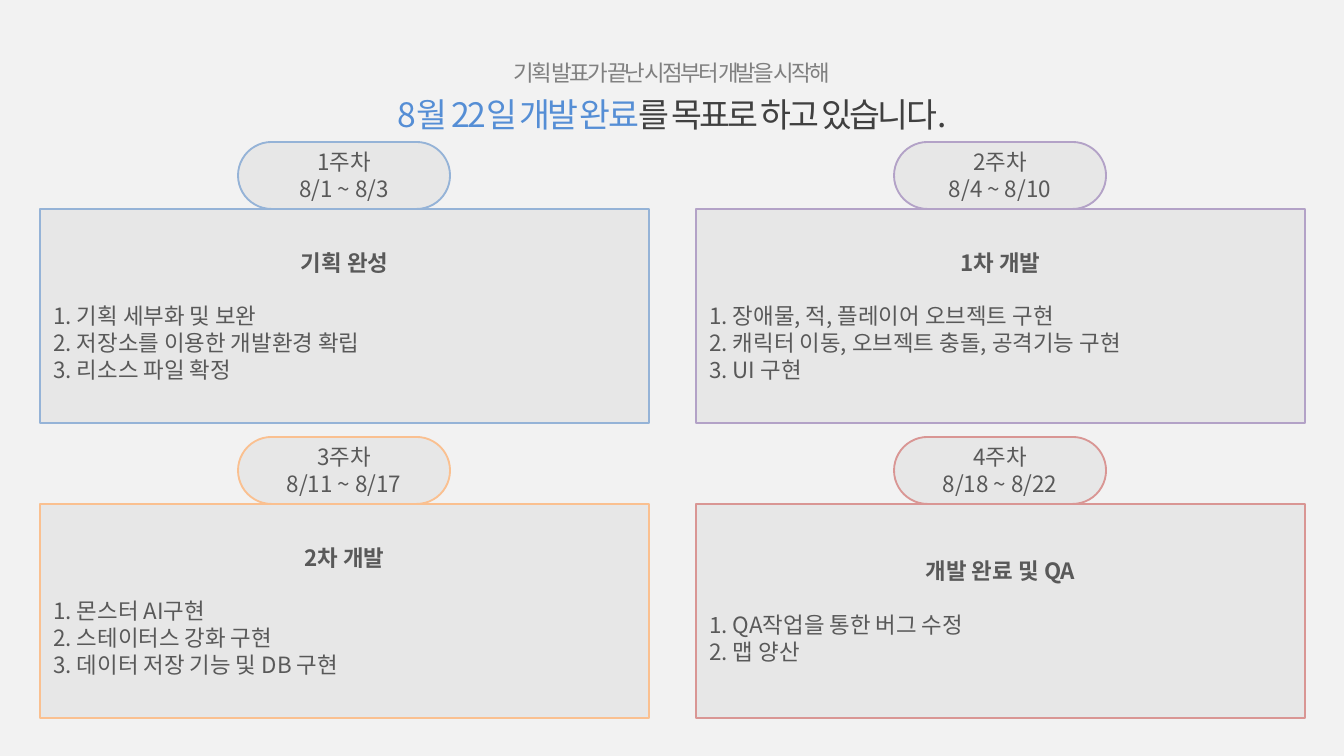
from pptx import Presentation
from pptx import util as u
from pptx.dml.color import RGBColor
from pptx.enum import shapes, text
from pptx.oxml.ns import qn
from lxml import etree

FONT = "Noto Sans CJK KR"
BACKGROUND, PANEL, BODY = "F2F2F2", "BFBFBF", "595959"
INTRO = "기획 발표가 끝난 시점부터 개발을 시작해"
GOAL, GOAL_END = "8월 22일 개발 완료", "를 목표로 하고 있습니다."
WEEKS = [
    ("8/1 ~ 8/3", "95B3D7", "기획 완성",
     ["기획 세부화 및 보완", "저장소를 이용한 개발환경 확립", "리소스 파일 확정"]),
    ("8/4 ~ 8/10", "B3A2C7", "1차 개발",
     ["장애물, 적, 플레이어 오브젝트 구현",
      "캐릭터 이동, 오브젝트 충돌, 공격기능 구현", "UI 구현"]),
    ("8/11 ~ 8/17", "FAC090", "2차 개발",
     ["몬스터 AI구현", "스테이터스 강화 구현", "데이터 저장 기능 및 DB 구현"]),
    ("8/18 ~ 8/22", "D99694", "개발 완료 및 QA",
     ["QA작업을 통한 버그 수정", "맵 양산"]),
]

SCALE = 914400 / 134.4
TITLE = (67, 31, 1210, 126)
CARD_LEFT, CARD_TOP, CARD_WIDTH, CARD_HEIGHT = 40, 209, 609, 214
PILL_WIDTH, PILL_HEIGHT = 212, 67
COLUMN_STEP, ROW_STEP = 656, 295


def px(length):
    return u.Emu(round(length * SCALE))


def color(value):
    return RGBColor.from_string(value)


def add_text(para, words, size=12, fill=BODY, bold=False, spacing=0):
    """Append a run; spacing is in hundredths of a point."""
    span = para.add_run()
    span.text = words
    span.font.size = u.Pt(size)
    span.font.name = FONT
    span.font.bold = bold
    span.font.color.rgb = color(fill)
    properties = span.font._element
    etree.SubElement(properties, qn("a:ea")).set("typeface", FONT)
    if spacing:
        properties.set("spc", str(spacing))


def add_lines(frame, lines, align, first=True, **style):
    for number, line in enumerate(lines):
        para = frame.paragraphs[0] if first and number == 0 else frame.add_paragraph()
        para.alignment = align
        add_text(para, line, **style)


def add_panel(slide, kind, area, outline):
    panel = slide.shapes.add_shape(kind, *map(px, area))
    panel.shadow.inherit = False
    panel.fill.solid()
    panel.fill.fore_color.rgb = color(PANEL)
    fill = panel._element.spPr.find(qn("a:solidFill"))
    etree.SubElement(fill[0], qn("a:alpha")).set("val", "20000")
    panel.line.color.rgb = color(outline)
    panel.line.width = u.Pt(1)
    panel.text_frame.word_wrap = True
    panel.text_frame.vertical_anchor = text.MSO_ANCHOR.MIDDLE
    return panel


def add_title(slide):
    frame = slide.shapes.add_textbox(*map(px, TITLE)).text_frame
    frame.word_wrap = True
    frame.vertical_anchor = text.MSO_ANCHOR.MIDDLE
    para = frame.paragraphs[0]
    para.alignment = text.PP_ALIGN.CENTER
    para.line_spacing = 1.2
    add_text(para, INTRO, fill="808080", spacing=-150)
    para.add_line_break()
    add_text(para, GOAL, size=18, fill="558ED5", spacing=-150)
    add_text(para, GOAL_END, size=18, fill="404040", spacing=-150)


def add_week(slide, index, dates, outline, heading, tasks):
    row, column = divmod(index, 2)
    left = CARD_LEFT + column * COLUMN_STEP
    top = CARD_TOP + row * ROW_STEP
    center, start = text.PP_ALIGN.CENTER, text.PP_ALIGN.LEFT

    card = add_panel(slide, shapes.MSO_SHAPE.RECTANGLE,
                     (left, top, CARD_WIDTH, CARD_HEIGHT), outline)
    frame = card.text_frame
    add_lines(frame, [heading], center, bold=True)
    frame.paragraphs[0].space_after = u.Pt(14.3)
    numbered = [f"{number}. {task}" for number, task in enumerate(tasks, 1)]
    add_lines(frame, numbered, start, first=False)

    pill_left = left + (CARD_WIDTH - PILL_WIDTH) // 2
    pill = add_panel(slide, shapes.MSO_SHAPE.ROUNDED_RECTANGLE,
                     (pill_left, top - PILL_HEIGHT, PILL_WIDTH, PILL_HEIGHT), outline)
    pill.adjustments[0] = 0.5
    frame = pill.text_frame
    frame.margin_left = frame.margin_right = frame.margin_top = frame.margin_bottom = 0
    add_lines(frame, [f"{index + 1}주차", dates], center)


def main():
    deck = Presentation()
    deck.slide_width, deck.slide_height = px(1344), px(756)
    page = deck.slides.add_slide(deck.slide_layouts[6])
    page.background.fill.solid()
    page.background.fill.fore_color.rgb = color(BACKGROUND)
    add_title(page)
    for index, week in enumerate(WEEKS):
        add_week(page, index, *week)
    deck.save("out.pptx")


if __name__ == "__main__":
    main()
